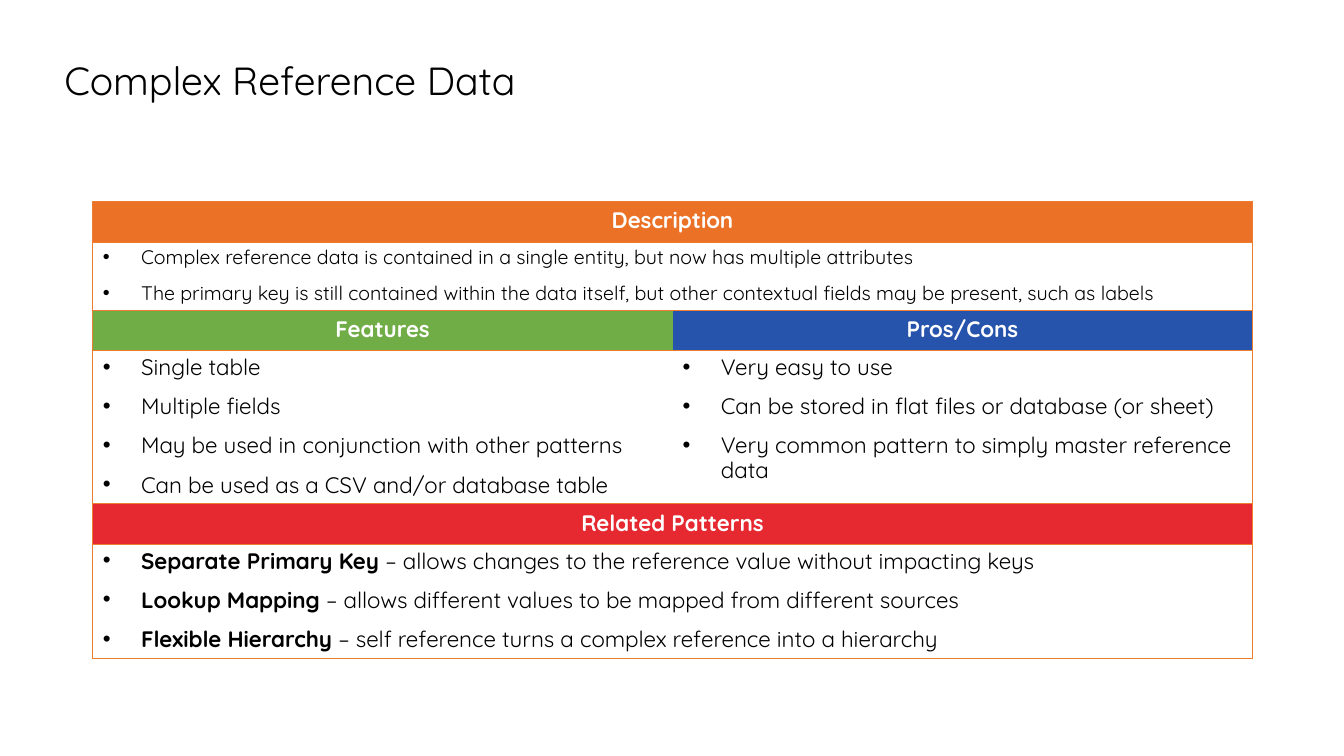
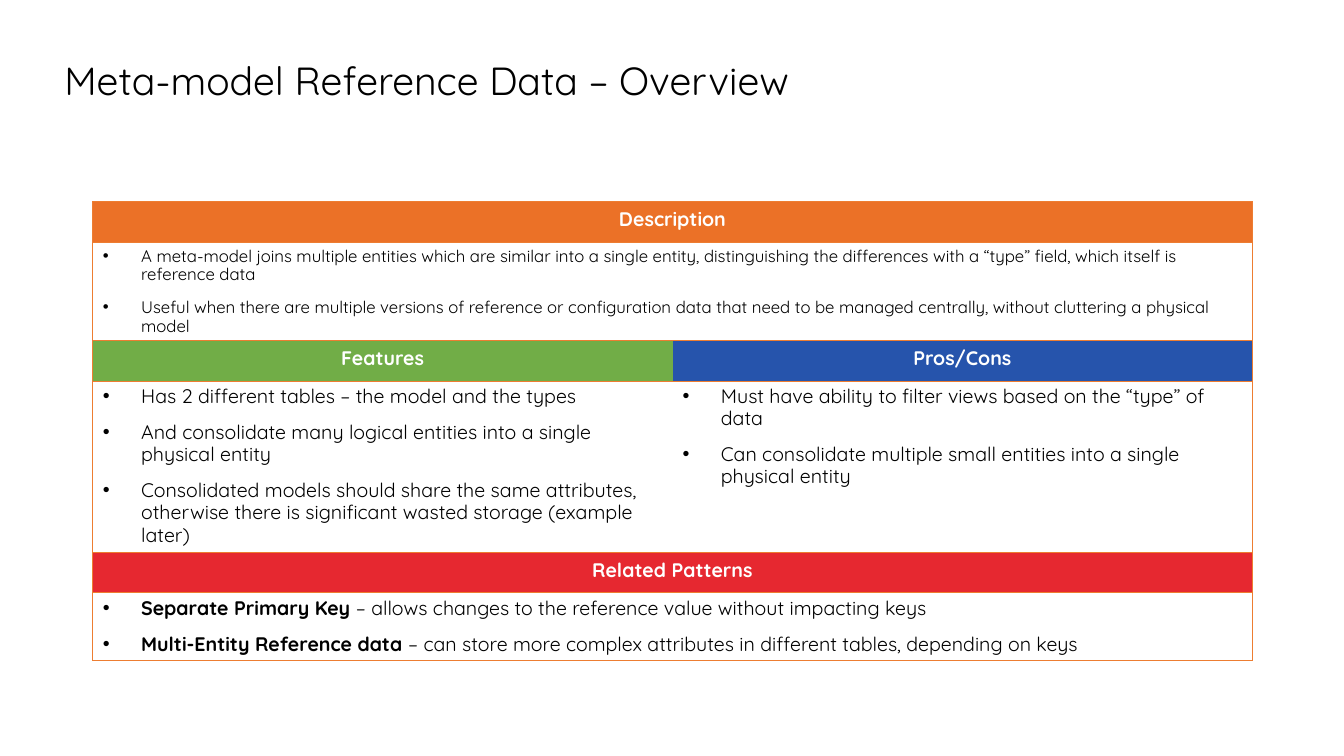
from lxml import etree
from pptx import Presentation
from pptx.dml.color import RGBColor
from pptx.enum.text import MSO_ANCHOR, PP_ALIGN
from pptx.oxml.ns import qn
from pptx.util import Inches, Pt

CENTER = PP_ALIGN.CENTER
MIDDLE = MSO_ANCHOR.MIDDLE

FONT = "Quicksand"
BLACK, WHITE = "000000", "FFFFFF"
ORANGE, GREEN, BLUE, RED = "EB7127", "71AD47", "2654AC", "E62830"
BORDER = "ED7D31"
NO_TABLE_STYLE = "{2D5ABB26-0587-4C30-8999-92F81FD0307C}"

TITLE_BOX = (0.54, 0.54, 10.59, 0.56)
TABLE_LEFT, TABLE_TOP, TABLE_WIDTH = 0.92, 2, 11.5
BAND_HEIGHT = 0.4
BULLET_INDENT = 0.38

OVERVIEWS = [
    {
        "title": "Complex Reference Data",
        "size": 16,
        "body_heights": (0.67, 1.52, 1.13),
        "description": [
            "Complex reference data is contained in a single entity, but now has multiple attributes",
            "The primary key is still contained within the data itself, but other contextual fields "
            "may be present, such as labels",
        ],
        "features": [
            "Single table",
            "Multiple fields",
            "May be used in conjunction with other patterns",
            "Can be used as a CSV and/or database table",
        ],
        "pros_cons": [
            "Very easy to use",
            "Can be stored in flat files or database (or sheet)",
            "Very common pattern to simply master reference data",
        ],
        "related": [
            ("Separate Primary Key ", "– allows changes to the reference value without impacting keys"),
            ("Lookup Mapping ", "– allows different values to be mapped from different sources"),
            ("Flexible Hierarchy ", "– self reference turns a complex reference into a hierarchy"),
        ],
    },
    {
        "title": "Meta-model Reference Data – Overview",
        "size": 14,
        "body_heights": (0.98, 1.7, 0.67),
        "description": [
            "A meta-model joins multiple entities which are similar into a single entity, "
            "distinguishing the differences with a “type” field, which itself is reference data",
            "Useful when there are multiple versions of reference or configuration data that need "
            "to be managed centrally, without cluttering a physical model",
        ],
        "features": [
            "Has 2 different tables – the model and the types",
            "And consolidate many logical entities into a single physical entity",
            "Consolidated models should share the same attributes, otherwise there is significant "
            "wasted storage (example later)",
        ],
        "pros_cons": [
            "Must have ability to filter views based on the “type” of data",
            "Can consolidate multiple small entities into a single physical entity",
        ],
        "related": [
            ("Separate Primary Key ", "– allows changes to the reference value without impacting keys"),
            ("Multi-Entity Reference data ",
             "– can store more complex attributes in different tables, depending on keys"),
        ],
    },
]


def rgb(hex_color):
    return RGBColor.from_string(hex_color)


def style_run(run, size, color=BLACK, bold=False):
    run.font.name = FONT
    run.font.size = Pt(size)
    run.font.bold = bold
    run.font.color.rgb = rgb(color)


def add_title(slide, text, box):
    frame = slide.shapes.add_textbox(*map(Inches, box)).text_frame
    frame.word_wrap = True
    frame.vertical_anchor = MIDDLE
    frame.text = text
    paragraph = frame.paragraphs[0]
    paragraph.line_spacing = 0.9
    style_run(paragraph.runs[0], 28)


def set_borders(cell, sides):
    """Draw the sides named by L, R, T and B; leave the others without a line."""
    properties = cell._tc.get_or_add_tcPr()
    for side in "LRTB":
        line = etree.SubElement(properties, qn(f"a:ln{side}"), w=str(Pt(0.5)))
        if side in sides:
            fill = etree.SubElement(line, qn("a:solidFill"))
            etree.SubElement(fill, qn("a:srgbClr"), val=BORDER)
        else:
            etree.SubElement(line, qn("a:noFill"))


def fill_band(cell, heading, color, size):
    cell.fill.solid()
    cell.fill.fore_color.rgb = rgb(color)
    cell.text_frame.text = heading
    paragraph = cell.text_frame.paragraphs[0]
    paragraph.alignment = CENTER
    style_run(paragraph.runs[0], size, WHITE, bold=True)


def fill_bullets(cell, items, size):
    """Write one bullet per item; an item is a text or a (bold term, text) pair."""
    frame = cell.text_frame
    for index, item in enumerate(items):
        paragraph = frame.add_paragraph() if index else frame.paragraphs[0]
        properties = paragraph._p.get_or_add_pPr()
        properties.set("marL", str(Inches(BULLET_INDENT)))
        properties.set("indent", str(-Inches(BULLET_INDENT)))
        etree.SubElement(properties, qn("a:buFont"), typeface="Arial")
        etree.SubElement(properties, qn("a:buChar"), char="•")
        paragraph.line_spacing = 0.9
        if index:
            paragraph.space_before = Pt(10)
        term, text = ("", item) if isinstance(item, str) else item
        for part, bold in ((term, True), (text, False)):
            if part:
                run = paragraph.add_run()
                run.text = part
                style_run(run, size, bold=bold)


def add_pattern_table(slide, overview, left, top, width):
    heights = [h for body in overview["body_heights"] for h in (BAND_HEIGHT, body)]
    table = slide.shapes.add_table(
        len(heights), 2, Inches(left), Inches(top), Inches(width), Inches(sum(heights))).table
    table.first_row = table.horz_banding = False
    table._tbl.tblPr.find(qn("a:tableStyleId")).text = NO_TABLE_STYLE

    for row, height in enumerate(heights):
        table.rows[row].height = Inches(height)
        full_width = row not in (2, 3)
        if full_width:
            table.cell(row, 0).merge(table.cell(row, 1))
        for column, outer_side in enumerate("LR"):
            cell = table.cell(row, column)
            set_borders(cell, "LRTB" if full_width and column == 0 else outer_side + "TB")
            cell.fill.background()

    size = overview["size"]
    sections = [
        (0, 0, "Description", ORANGE, "description", size - 2),
        (2, 0, "Features", GREEN, "features", size),
        (2, 1, "Pros/Cons", BLUE, "pros_cons", size),
        (4, 0, "Related Patterns", RED, "related", size),
    ]
    for row, column, heading, color, key, body_size in sections:
        fill_band(table.cell(row, column), heading, color, size)
        fill_bullets(table.cell(row + 1, column), overview[key], body_size)


def add_overview_slide(presentation, overview):
    slide = presentation.slides.add_slide(presentation.slide_layouts[6])
    add_pattern_table(slide, overview, TABLE_LEFT, TABLE_TOP, TABLE_WIDTH)
    add_title(slide, overview["title"], TITLE_BOX)


def main():
    presentation = Presentation()
    presentation.slide_width = Inches(13.33)
    presentation.slide_height = Inches(7.5)
    for overview in OVERVIEWS:
        add_overview_slide(presentation, overview)
    presentation.save("out.pptx")


if __name__ == "__main__":
    main()
